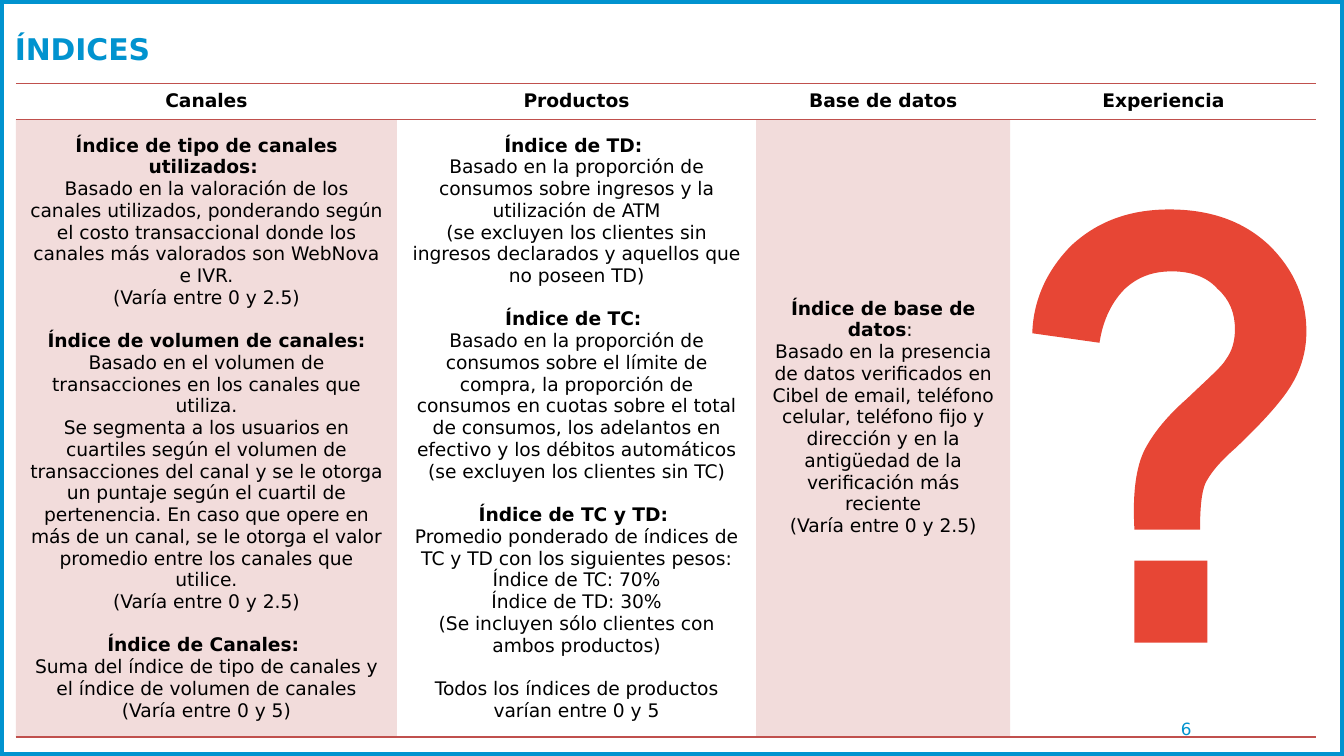
from lxml.etree import SubElement
from pptx import Presentation
from pptx.dml.color import RGBColor
from pptx.enum.shapes import MSO_SHAPE
from pptx.enum.text import MSO_ANCHOR as Anchor, PP_ALIGN as Align
from pptx.oxml.ns import qn
from pptx.util import Cm, Pt

COLORS = {"blue": "0193CF", "red": "C0504D", "mark": "E74635", "black": "000000"}
FONT = "DejaVu Sans"
NO_STYLE = "{2D5ABB26-0587-4C30-8999-92F81FD0307C}"


def write(frame, text, size=10, color="black", align=Align.CENTER, gap=0):
    """Add a paragraph; the parts of text between asterisks are bold."""
    paragraph = frame.paragraphs[0]
    if paragraph.runs:
        paragraph = frame.add_paragraph()
    paragraph.alignment = align
    if gap:
        paragraph.space_before = Pt(gap)
    for index, part in enumerate(text.split("*")):
        if part:
            run = paragraph.add_run()
            run.text = part
            run.font.name = FONT
            run.font.size = Pt(size)
            run.font.bold = index % 2 == 1
            run.font.color.rgb = RGBColor.from_string(COLORS[color])


def add_border(cell, side):
    line = SubElement(cell._tc.get_or_add_tcPr(), qn(f"a:ln{side}"), w=str(Pt(1)))
    fill = SubElement(line, qn("a:solidFill"))
    SubElement(fill, qn("a:srgbClr"), val=COLORS["red"])


presentation = Presentation()
presentation.slide_width = Cm(25.4)
presentation.slide_height = Cm(14.29)
slide = presentation.slides.add_slide(presentation.slide_layouts[6])

# Frame around the slide
frame = slide.shapes.add_shape(MSO_SHAPE.RECTANGLE, 0, 0, Cm(25.4), Cm(14.29))
frame.shadow.inherit = False
frame.fill.background()
frame.line.color.rgb = RGBColor.from_string(COLORS["blue"])
frame.line.width = Pt(4.5)

# Title and page number
for text, box, size, align in [
    ("*ÍNDICES*", (0.1, 0.08, 21.44, 1.68), 16, Align.LEFT),
    ("6", (19.58, 13.39, 3.12, 0.76), 9, Align.RIGHT),
]:
    text_frame = slide.shapes.add_textbox(*map(Cm, box)).text_frame
    text_frame.word_wrap = True
    text_frame.vertical_anchor = Anchor.MIDDLE
    text_frame.margin_left = text_frame.margin_right = Cm(0.18)
    text_frame.margin_top = text_frame.margin_bottom = Cm(0.1)
    write(text_frame, text, size=size, color="blue", align=align)

# Each column: heading, width, bottom margin, shaded, sections of paragraphs
columns = [
    ("Canales", 7.2, 0.13, True, [
        ["*Índice de tipo de canales utilizados: *",
         "Basado en la valoración de los canales utilizados, ponderando según el costo "
         "transaccional donde los canales más valorados son WebNova e IVR.",
         "(Varía entre 0 y 2.5)"],
        ["*Índice de volumen de canales:*",
         "Basado en el volumen de transacciones en los canales que utiliza.",
         "Se segmenta a los usuarios en cuartiles según el volumen de transacciones del "
         "canal y se le otorga un puntaje según el cuartil de pertenencia. En caso que "
         "opere en más de un canal, se le otorga el valor promedio entre los canales "
         "que utilice.",
         "(Varía entre 0 y 2.5)"],
        ["*Índice de Canales: *",
         "Suma del índice de tipo de canales y el índice de volumen de canales",
         "(Varía entre 0 y 5)"],
    ]),
    ("Productos", 6.79, 0.13, False, [
        ["*Índice de TD: *",
         "Basado en la proporción de consumos sobre ingresos y la utilización de ATM",
         "(se excluyen los clientes sin ingresos declarados y aquellos que no poseen TD)"],
        ["*Índice de TC: *",
         "Basado en la proporción de consumos sobre el límite de compra, la proporción "
         "de consumos en cuotas sobre el total de consumos, los adelantos en efectivo y "
         "los débitos automáticos (se excluyen los clientes sin TC)"],
        ["*Índice de TC y TD: *",
         "Promedio ponderado de índices de TC y TD con los siguientes pesos:",
         "Índice de TC: 70%",
         "Índice de TD: 30%",
         "(Se incluyen sólo clientes con ambos productos)"],
        ["Todos los índices de productos varían entre 0 y 5"],
    ]),
    ("Base de datos", 4.8, 0.54, True, [
        ["*Índice de base de datos*: ",
         "Basado en la presencia de datos verificados en Cibel de email, teléfono "
         "celular, teléfono fijo y dirección y en la antigüedad de la verificación "
         "más reciente",
         "(Varía entre 0 y 2.5)"],
    ]),
    ("Experiencia", 5.79, 0.13, False, []),
]
row_heights = [0.53, 9.68]
table_width = sum(column[1] for column in columns)
table_shape = slide.shapes.add_table(2, len(columns), Cm(0.3), Cm(1.58),
                                     Cm(table_width), Cm(sum(row_heights)))
table = table_shape.table
table._tbl.tblPr.find(qn("a:tableStyleId")).text = NO_STYLE
table.horz_banding = False
for row, height in zip(table.rows, row_heights):
    row.height = Cm(height)

for index, (heading, width, bottom, shaded, sections) in enumerate(columns):
    table.columns[index].width = Cm(width)
    header, body = table.cell(0, index), table.cell(1, index)
    for cell in (header, body):
        add_border(cell, "T")
        add_border(cell, "B")
        cell.vertical_anchor = Anchor.MIDDLE
        cell.fill.background()
    body.margin_bottom = Cm(bottom)
    if shaded:
        body.fill.solid()
        body.fill.fore_color.rgb = RGBColor.from_string(COLORS["red"])
        color = body._tc.tcPr.find(qn("a:solidFill")).find(qn("a:srgbClr"))
        SubElement(color, qn("a:alpha"), val="20000")
    write(header.text_frame, f"*{heading}*")
    for section_index, section in enumerate(sections):
        for line_index, text in enumerate(section):
            starts_section = section_index > 0 and line_index == 0
            write(body.text_frame, text, gap=11.6 if starts_section else 0)

# Question mark: two coordinates make a line, six a Bézier curve
hook = [
    (22.1, 3.96),
    (22.89, 3.96, 23.52, 4.19, 24, 4.65),
    (24.46, 5.11, 24.69, 5.64, 24.69, 6.27),
    (24.69, 6.6, 24.61, 6.93, 24.43, 7.24),
    (24.26, 7.54, 23.9, 7.95, 23.34, 8.48),
    (23.04, 8.74, 22.86, 8.97, 22.78, 9.14),
    (22.71, 9.3, 22.68, 9.6, 22.68, 10.01),
    (21.44, 10.01),
    (21.43, 9.8, 21.43, 9.7, 21.43, 9.65),
    (21.43, 9.19, 21.49, 8.81, 21.62, 8.53),
    (21.77, 8.23, 22.02, 7.9, 22.43, 7.54),
    (22.83, 7.16, 23.09, 6.93, 23.16, 6.81),
    (23.29, 6.63, 23.34, 6.45, 23.34, 6.22),
    (23.34, 5.92, 23.24, 5.66, 23.01, 5.46),
    (22.81, 5.23, 22.5, 5.13, 22.15, 5.13),
    (21.79, 5.13, 21.51, 5.23, 21.26, 5.46),
    (21.03, 5.69, 20.85, 6.02, 20.78, 6.48),
    (19.51, 6.3),
    (19.53, 5.66, 19.79, 5.11, 20.24, 4.65),
    (20.73, 4.19, 21.34, 3.96, 22.1, 3.96),
]
dot = [(21.44, 10.6), (22.82, 10.6), (22.82, 12.15), (21.44, 12.15), (21.44, 10.6)]
question_mark = slide.shapes.add_group_shape()
for outline in (hook, dot):
    points = [(Cm(segment[-2]), Cm(segment[-1])) for segment in outline]
    builder = question_mark.shapes.build_freeform(*points[0])
    builder.add_line_segments(points[1:], close=True)
    shape = builder.convert_to_shape()
    lines = list(shape._element.iter(qn("a:lnTo")))
    for line, segment in zip(lines, outline[1:]):
        if len(segment) == 6:
            line.tag = qn("a:cubicBezTo")
            for position, start in enumerate((0, 2)):
                x, y = segment[start:start + 2]
                control = SubElement(line, qn("a:pt"), x=str(Cm(x) - shape.left),
                                     y=str(Cm(y) - shape.top))
                line.insert(position, control)
    shape.shadow.inherit = False
    shape.fill.solid()
    shape.fill.fore_color.rgb = RGBColor.from_string(COLORS["mark"])
    shape.line.fill.background()

presentation.save("out.pptx")
